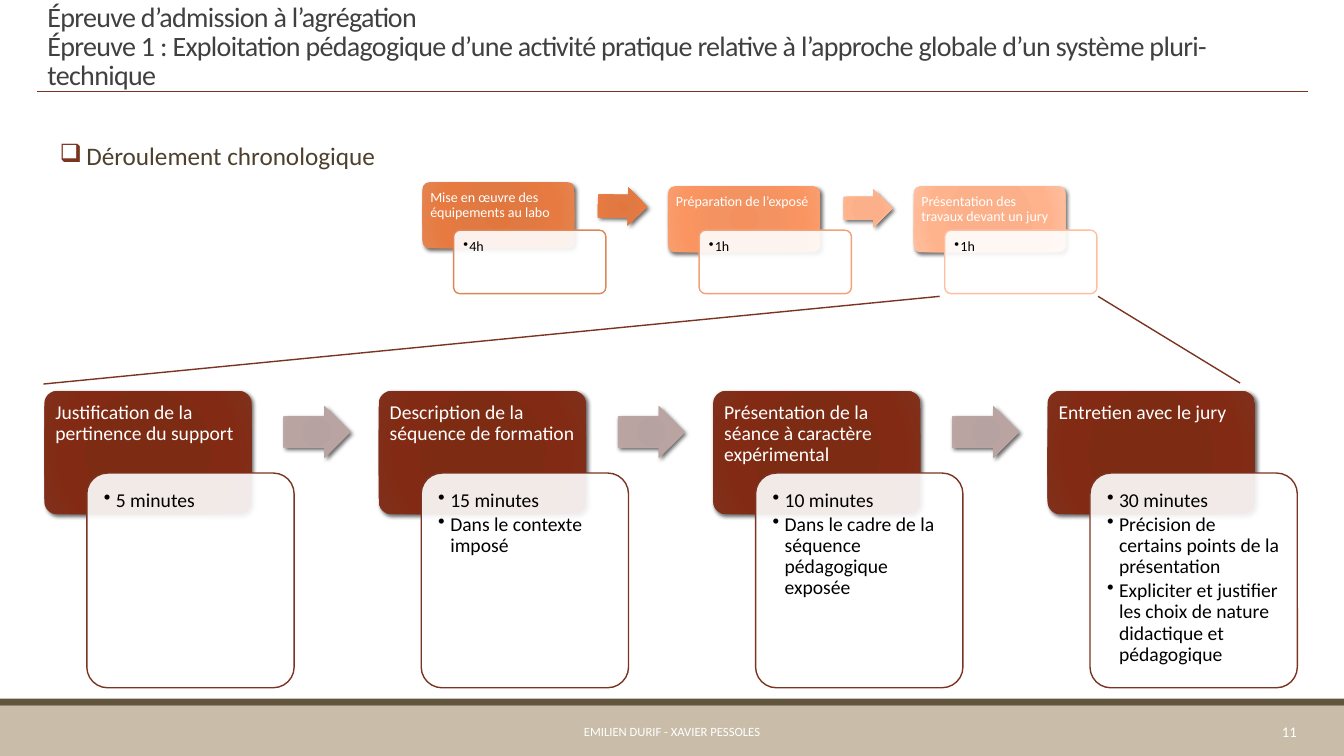
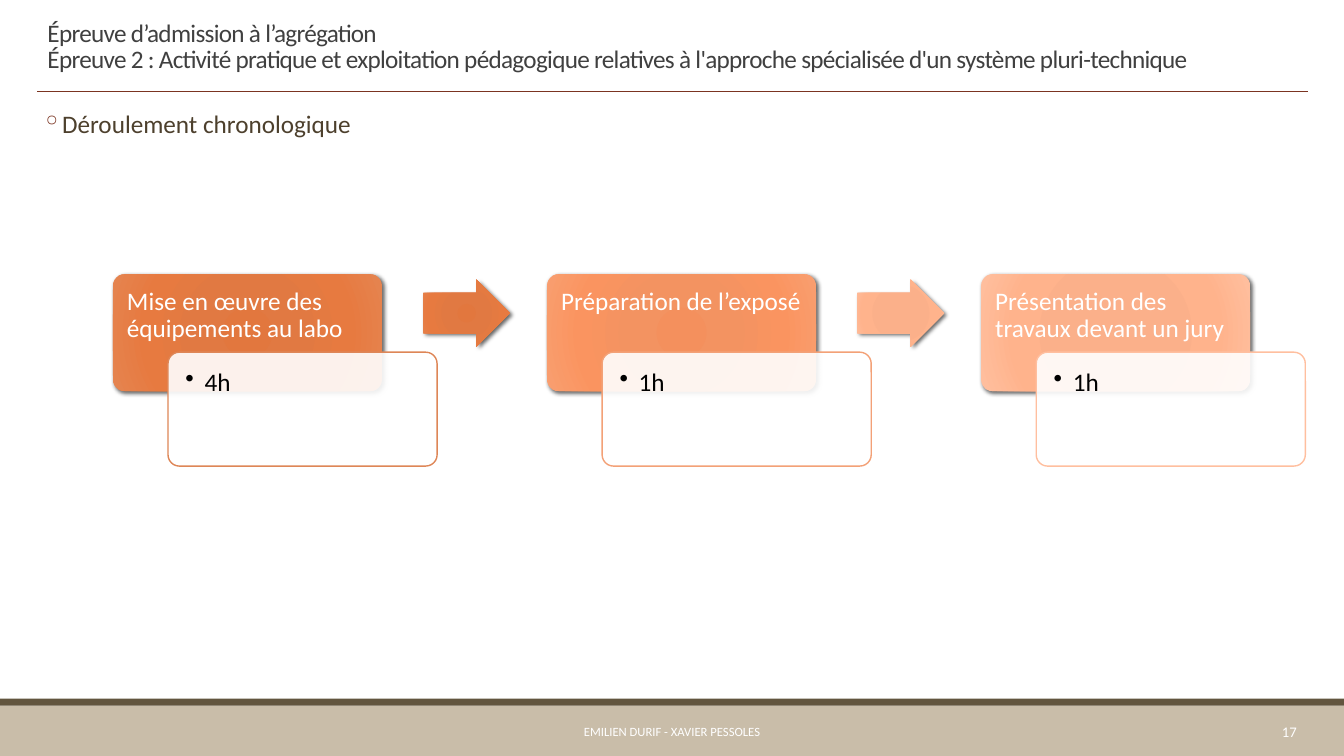
"""Build two slides on the chronology of the agrégation admission tests."""
import lxml.etree
import pptx
import pptx.dml.color
import pptx.enum.shapes
import pptx.enum.text
import pptx.oxml
import pptx.oxml.ns
import pptx.util

SHAPE = pptx.enum.shapes.MSO_SHAPE
ALIGN = pptx.enum.text.PP_ALIGN
ANCHOR = pptx.enum.text.MSO_ANCHOR
Pt = pptx.util.Pt
qn = pptx.oxml.ns.qn

W, H = pptx.util.Inches(13.33), pptx.util.Inches(7.5)
FONT = "Calibri"
C = {
    "band": "C9BDA9", "stripe": "62553E", "accent": "7B3421", "title": "404040",
    "body": "4D402D", "white": "FFFFFF", "black": "000000",
    "orange": "DE8657", "coral": "F3A177", "peach": "FFBF9F",
}
STOPS = (0, 34, 70, 100)
GRADIENTS = {
    "orange": ("E2773E", "E17942", "E77A40", "E58450"),
    "coral": ("F4905D", "F39361", "FA9460", "F99F70"),
    "peach": ("FBAD87", "FBB08A", "FFB38C", "FFBF9F"),
    "accent": ("7F2912", "7E2B14", "822A13", "80311C"),
    "mauve": ("B4A09E", "B6A2A0", "B9A4A2", "C0ADAB"),
}
CORNER = 0.1
CARD_W, DETAIL_DX = 0.62, 0.127
ARROW_DX, ARROW_W, ARROW_H = 0.715, 0.2, 0.155
FOOTER = "EMILIEN DURIF - XAVIER PESSOLES"
HEADING = "Épreuve d’admission à l’agrégation"
TOPIC = "Déroulement chronologique"
TEST_STAGES = (
    ("Mise en œuvre des équipements au labo", ("4h",), "orange", "orange"),
    ("Préparation de l’exposé", ("1h",), "coral", "peach"),
    ("Présentation des travaux devant un jury", ("1h",), "peach", None),
)
JURY_STAGES = (
    ("Justification de la pertinence du support", ("5 minutes",), "accent", "mauve"),
    ("Description de la séquence de formation",
     ("15 minutes", "Dans le contexte imposé"), "accent", "mauve"),
    ("Présentation de la séance à caractère expérimental",
     ("10 minutes", "Dans le cadre de la séquence pédagogique exposée"), "accent", "mauve"),
    ("Entretien avec le jury",
     ("30 minutes", "Précision de certains points de la présentation",
      "Expliciter et justifier les choix de nature didactique et pédagogique"),
     "accent", None),
)


def rgb(name):
    """Return a palette colour."""
    return pptx.dml.color.RGBColor.from_string(C[name])


def place(x, y, w, h):
    """Turn percentages of the slide into lengths."""
    return [int(v * side / 100) for v, side in zip((x, y, w, h), (W, H, W, H))]


def xml(parent, tag, **attrs):
    """Append a drawing element with its attributes."""
    return lxml.etree.SubElement(parent, qn(tag), {k: str(v) for k, v in attrs.items()})


def setup(tf, insets=None, anchor=ANCHOR.TOP):
    """Make a text frame wrap, with its anchor and insets."""
    tf.word_wrap = True
    tf.auto_size = pptx.enum.text.MSO_AUTO_SIZE.NONE
    tf.vertical_anchor = anchor
    if insets:
        tf.margin_left, tf.margin_top, tf.margin_right, tf.margin_bottom = insets


def run(p, text, size, color):
    """Add one formatted run."""
    r = p.add_run()
    r.text = text
    r.font.name, r.font.size = FONT, Pt(size)
    r.font.color.rgb = rgb(color)
    return r


def paragraph(p, spacing=1.0, before=0, after=0, align=ALIGN.LEFT):
    """Set spacing and alignment of a paragraph."""
    p.line_spacing, p.alignment = spacing, align
    p.space_before, p.space_after = Pt(before), Pt(after)


def bullet(p, char, margin, hang, color):
    """Give a paragraph a bullet with a hanging indent in points."""
    pPr = p._p.get_or_add_pPr()
    pPr.set("marL", str(Pt(margin)))
    pPr.set("indent", str(-Pt(hang)))
    xml(xml(pPr, "a:buClr"), "a:srgbClr", val=C[color])
    xml(pPr, "a:buChar", char=char)


def shape(s, kind, box, fill=None):
    """Add a shape without line or shadow."""
    sp = s.shapes.add_shape(kind, *box)
    sp.shadow.inherit = False
    sp.line.fill.background()
    if fill:
        sp.fill.solid()
        sp.fill.fore_color.rgb = rgb(fill)
    else:
        sp.fill.background()
    return sp


def glossy(s, kind, box, tone):
    """Add a shape with a radial gradient and a soft shadow."""
    sp = shape(s, kind, box)
    spPr = sp.element.spPr
    grad = pptx.oxml.parse_xml("<a:gradFill %s/>" % pptx.oxml.ns.nsdecls("a"))
    stops = xml(grad, "a:gsLst")
    for pos, color in zip(STOPS, GRADIENTS[tone]):
        xml(xml(stops, "a:gs", pos=pos * 1000), "a:srgbClr", val=color)
    xml(xml(grad, "a:path", path="circle"), "a:fillToRect",
        **dict.fromkeys("ltrb", 100000))
    spPr.replace(spPr.find(qn("a:noFill")), grad)
    shadow = xml(spPr.find(qn("a:effectLst")), "a:outerShdw", blurRad=Pt(3), dist=Pt(2),
                 dir=45 * 60000, algn="ctr", rotWithShape=0)
    xml(xml(shadow, "a:srgbClr", val=C["black"]), "a:alpha", val=60000)
    return sp


def line(s, x1, y1, x2, y2, width):
    """Draw a straight line between two points given in percent."""
    cn = s.shapes.add_connector(pptx.enum.shapes.MSO_CONNECTOR.STRAIGHT,
                                *place(x1, y1, x2, y2))
    cn.line.color.rgb, cn.line.width = rgb("accent"), Pt(width)
    xml(cn.element.spPr, "a:effectLst")


def label(s, box, text, size, align):
    """Add a one-line footer text."""
    tf = s.shapes.add_textbox(*box).text_frame
    setup(tf, anchor=ANCHOR.MIDDLE)
    paragraph(tf.paragraphs[0], align=align)
    run(tf.paragraphs[0], text, size, "white")


def topic(s, x, y, char, margin, hang):
    """Add the bulleted topic line."""
    tf = s.shapes.add_textbox(*place(x, y, 93.3, 6)).text_frame
    setup(tf, (0, Pt(3.6), 0, Pt(3.6)))
    p = tf.paragraphs[0]
    paragraph(p, 0.9, 2, 4)
    bullet(p, char, margin, hang, "accent")
    run(p, TOPIC, 18, "body")


def new_slide(prs, subtitle, size, number):
    """Add a slide with title, rule, bands and footer."""
    s = prs.slides.add_slide(prs.slide_layouts[5])
    shape(s, SHAPE.RECTANGLE, place(0, 93.33, 100, 6.67), "band")
    shape(s, SHAPE.RECTANGLE, place(0, 92.4, 100, 0.93), "stripe")
    line(s, 2.78, 12.13, 97.3, 12.13, 0.5)
    title = s.shapes.title
    title.left, title.top, title.width, title.height = place(2.78, 0.53, 94.45, 11.6)
    setup(title.text_frame, anchor=ANCHOR.MIDDLE)
    p = title.text_frame.paragraphs[0]
    paragraph(p, 0.85)
    run(p, HEADING, size, "title")
    p.add_line_break()
    run(p, subtitle, size, "title")
    for br in p._p.findall(qn("a:br")):
        xml(br, "a:rPr", sz=size * 100)
    for rPr in p._p.iter(qn("a:rPr")):
        rPr.set("spc", "-50")
    label(s, place(20.48, 94.13, 59.04, 5.33), FOOTER, 9, ALIGN.CENTER)
    label(s, place(85.45, 94.13, 11.78, 5.33), number, 10.5, ALIGN.RIGHT)
    return s


def head_card(s, box, text, size, tone):
    """Add the coloured card naming a stage."""
    sp = glossy(s, SHAPE.ROUNDED_RECTANGLE, box, tone)
    sp.adjustments[0] = CORNER
    inset = int(Pt(0.56 * size) - 0.29 * CORNER * min(box[2:]))
    setup(sp.text_frame, (inset, inset, inset, 0))
    p = sp.text_frame.paragraphs[0]
    paragraph(p, 0.9)
    run(p, text, size, "white")


def detail_card(s, box, items, size, hang, tone):
    """Add the translucent card listing a stage's details."""
    sp = shape(s, SHAPE.ROUNDED_RECTANGLE, box, "white")
    sp.adjustments[0] = CORNER
    color = sp.element.spPr.find(qn("a:solidFill")).find(qn("a:srgbClr"))
    xml(color, "a:alpha", val=90000)
    sp.line.color.rgb, sp.line.width = rgb(tone), Pt(1)
    tf = sp.text_frame
    setup(tf, [Pt(0.56 * size)] * 4)
    for i, item in enumerate(items):
        p = tf.add_paragraph() if i else tf.paragraphs[0]
        paragraph(p, 0.9, after=0.15 * size)
        bullet(p, "•", hang, hang, "black")
        run(p, item, size, "black")


def flow(s, stages, x, y, pitch, head_h, detail_h, size, hang, lift=0):
    """Lay out stages in equal columns joined by arrows; lift raises the first."""
    drop = head_h * 2 / 3
    arrow_h = pitch * ARROW_H * W / H
    for i, (head, items, tone, arrow_tone) in enumerate(stages):
        left = x + i * pitch
        rise = 0 if i else lift
        head_card(s, place(left, y - rise, pitch * CARD_W, head_h), head, size, tone)
        detail_card(s, place(left + pitch * DETAIL_DX, y + drop, pitch * CARD_W, detail_h),
                    items, size, hang, tone)
        if arrow_tone:
            box = place(left + pitch * ARROW_DX, y + (drop - arrow_h - rise) / 2,
                        pitch * ARROW_W, arrow_h)
            arrow = glossy(s, SHAPE.RIGHT_ARROW, box, arrow_tone)
            arrow.adjustments[0], arrow.adjustments[1] = 0.6, 0.5
            arrow.rotation = 0.9 if rise else 0


def main():
    """Build and save the presentation."""
    prs = pptx.Presentation()
    prs.slide_width, prs.slide_height = W, H

    s = new_slide(prs, "Épreuve 1 : Exploitation pédagogique d’une activité pratique relative "
                  "à l’approche globale d’un système pluri-technique", 20, "11")
    topic(s, 2.78, 18.4, "❑", 35, 19)
    flow(s, TEST_STAGES, 31.43, 24.67, 18.27, 8.67, 8.4, 10, 4.3, lift=0.53)
    flow(s, JURY_STAGES, 3.3, 51.73, 24.88, 16.27, 28.4, 14, 8.6)
    line(s, 69.92, 39.2, 3.23, 50.8, 1)
    line(s, 81.7, 39.2, 92.27, 50.67, 1)

    s = new_slide(prs, "Épreuve 2 : Activité pratique et exploitation pédagogique relatives "
                  "à l'approche spécialisée d'un système pluri-technique", 18, "17")
    topic(s, 1.5, 14.13, "◦", 30, 14.4)
    flow(s, TEST_STAGES, 8.4, 36.27, 32.3, 15.47, 15.07, 18, 13.7)

    prs.save("out.pptx")


if __name__ == "__main__":
    main()
